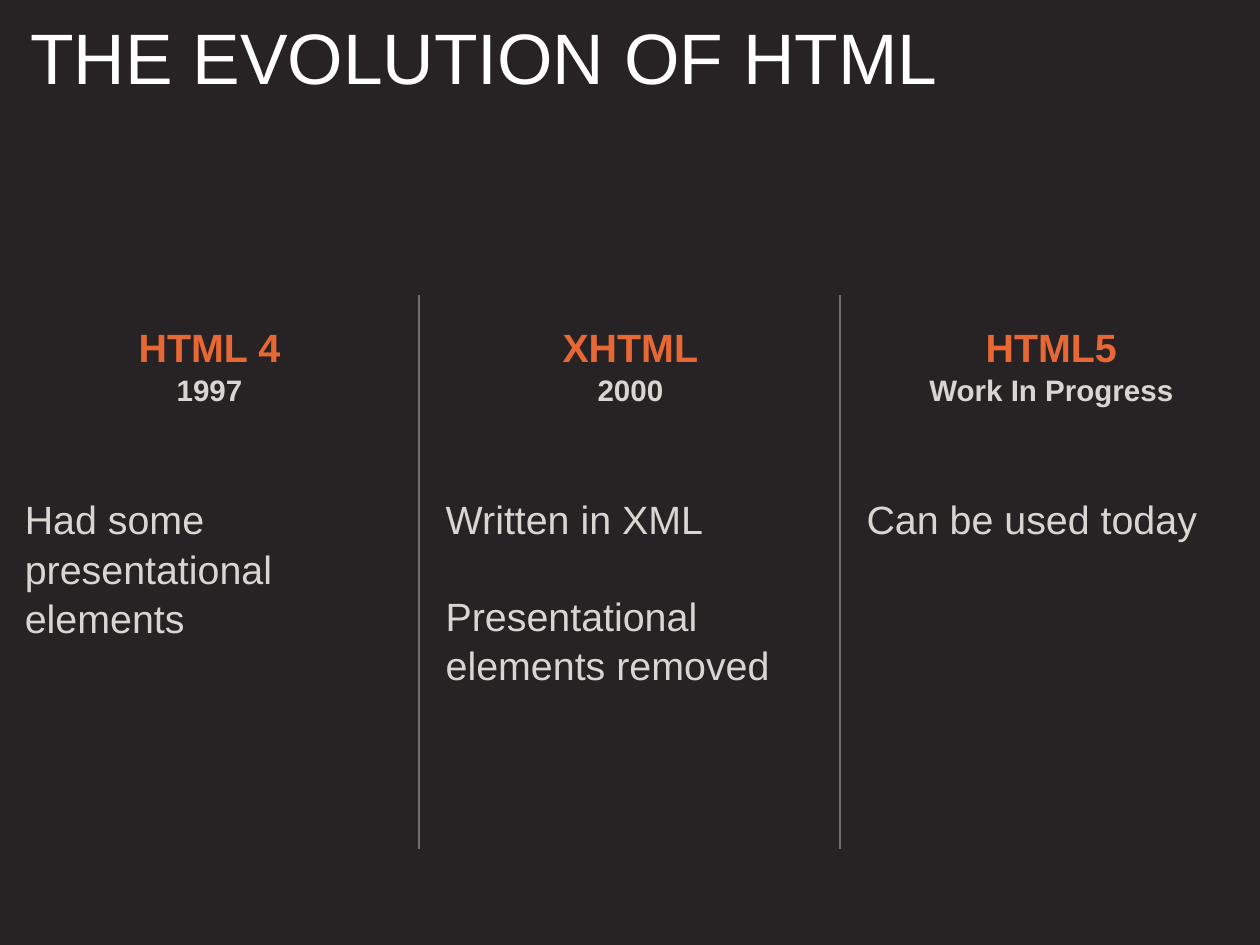
import pptx
import pptx.util
import pptx.dml.color
import pptx.enum.shapes
import pptx.enum.text
import pptx.oxml.ns
import lxml.etree

Inches, Pt = pptx.util.Inches, pptx.util.Pt
RGBColor = pptx.dml.color.RGBColor
PP_ALIGN = pptx.enum.text.PP_ALIGN
MSO_ANCHOR = pptx.enum.text.MSO_ANCHOR

BACKGROUND = RGBColor(0x27, 0x22, 0x24)
WHITE = RGBColor(0xFF, 0xFF, 0xFF)
ORANGE = RGBColor(0xE8, 0x68, 0x35)
LIGHT = RGBColor(0xD9, 0xD5, 0xD1)
GREY = RGBColor(0x6D, 0x6F, 0x72)

MARGIN = 0.28
COLUMN_WIDTH = 4.17
COLUMN_STEP = 4.75
COLUMN_TOP = 3.62
VERSIONS = [
    ("HTML 4", "1997", ["Had some presentational elements"]),
    ("XHTML", "2000", ["Written in XML", "Presentational elements removed"]),
    ("HTML5", "Work In Progress", ["Can be used today"]),
]
LINE_SPACING = 1.05
POINT_GAP = 38


def set_frame(tf, inset):
    tf.word_wrap = True
    tf.auto_size = pptx.enum.text.MSO_AUTO_SIZE.NONE
    tf.vertical_anchor = MSO_ANCHOR.TOP
    tf.margin_left = tf.margin_right = Inches(inset)
    tf.margin_top = tf.margin_bottom = Inches(inset)


def format_paragraph(p, size, color, bold=False, align=PP_ALIGN.LEFT,
                     spacing=LINE_SPACING):
    p.alignment = align
    p.line_spacing = spacing
    p.font.name = "Arial"
    p.font.size = Pt(size)
    p.font.bold = bold
    p.font.color.rgb = color


def add_text(s, left, top, width, height, texts):
    tf = s.shapes.add_textbox(Inches(left), Inches(top),
                              Inches(width), Inches(height)).text_frame
    set_frame(tf, 0)
    tf.text = "\n".join(texts)
    return tf.paragraphs


def add_title(s, left, top, width, height):
    title = s.shapes.title
    title.left, title.top = Inches(left), Inches(top)
    title.width, title.height = Inches(width), Inches(height)
    tf = title.text_frame
    tf.text = "THE EVOLUTION OF HTML"
    set_frame(tf, 0.06)
    format_paragraph(tf.paragraphs[0], 58, WHITE, spacing=0.8)


def add_version(s, left, top, width, name, date, points):
    # Name and date
    heading, subheading = add_text(s, left, top, width, 0.93, [name, date])
    format_paragraph(heading, 32, ORANGE, True, PP_ALIGN.CENTER)
    format_paragraph(subheading, 24, LIGHT, True, PP_ALIGN.CENTER)
    # Points
    for i, p in enumerate(add_text(s, left, top + 1.94, width, 2.22, points)):
        format_paragraph(p, 32, LIGHT)
        if i:
            p.space_before = Pt(POINT_GAP)


def add_divider(s, x, top, height):
    line = s.shapes.add_connector(
        pptx.enum.shapes.MSO_CONNECTOR.STRAIGHT,
        Inches(x), Inches(top), Inches(x), Inches(top + height))
    line.line.color.rgb = GREY
    line.line.width = Pt(2)
    lxml.etree.SubElement(line._element.spPr,
                          pptx.oxml.ns.qn("a:effectLst"))


def main():
    prs = pptx.Presentation()
    prs.slide_width, prs.slide_height = Inches(14.22), Inches(10.66)
    s = prs.slides.add_slide(prs.slide_layouts[5])
    s.background.fill.solid()
    s.background.fill.fore_color.rgb = BACKGROUND

    add_title(s, MARGIN, MARGIN, 13.61, 1.11)

    # One column for each version, with dividers between
    for i, version in enumerate(VERSIONS):
        left = MARGIN + i * COLUMN_STEP
        add_version(s, left, COLUMN_TOP, COLUMN_WIDTH, *version)
        if i:
            add_divider(s, left - 0.3, 3.33, 6.25)

    prs.save("out.pptx")


if __name__ == "__main__":
    main()
